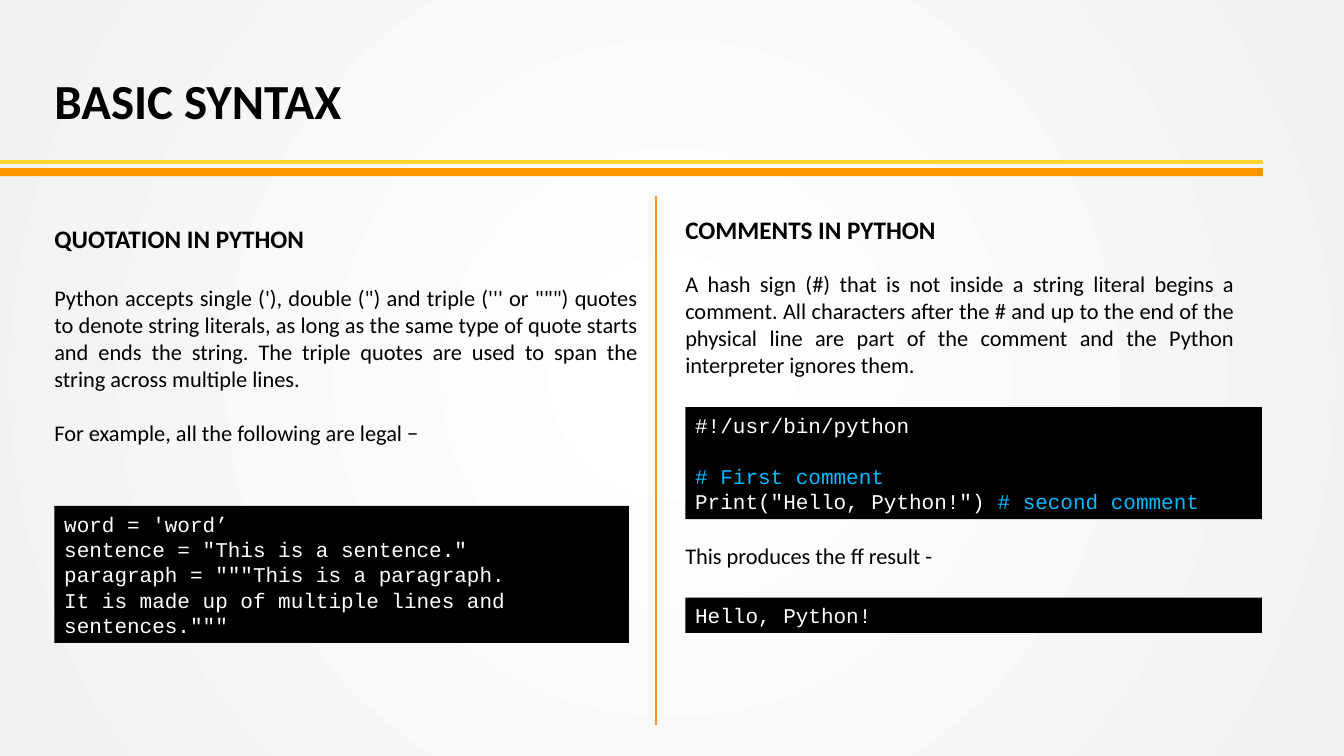
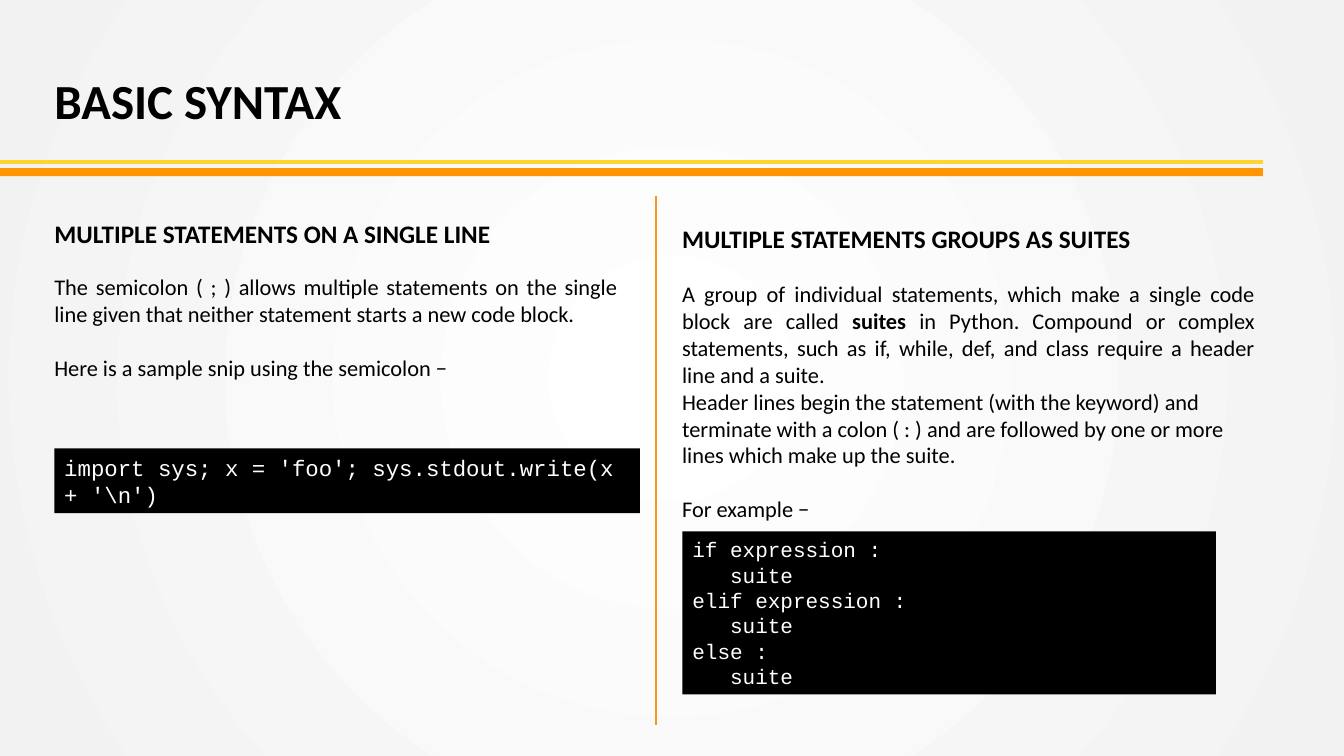
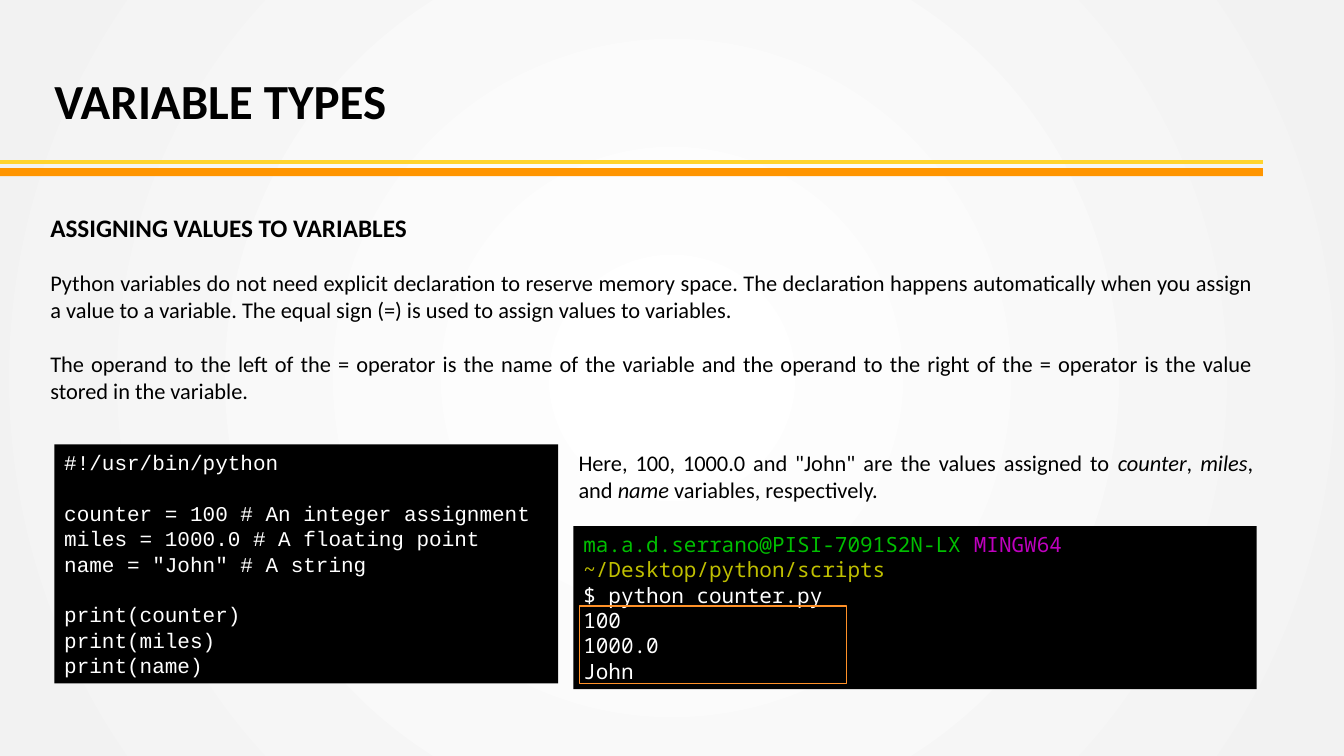
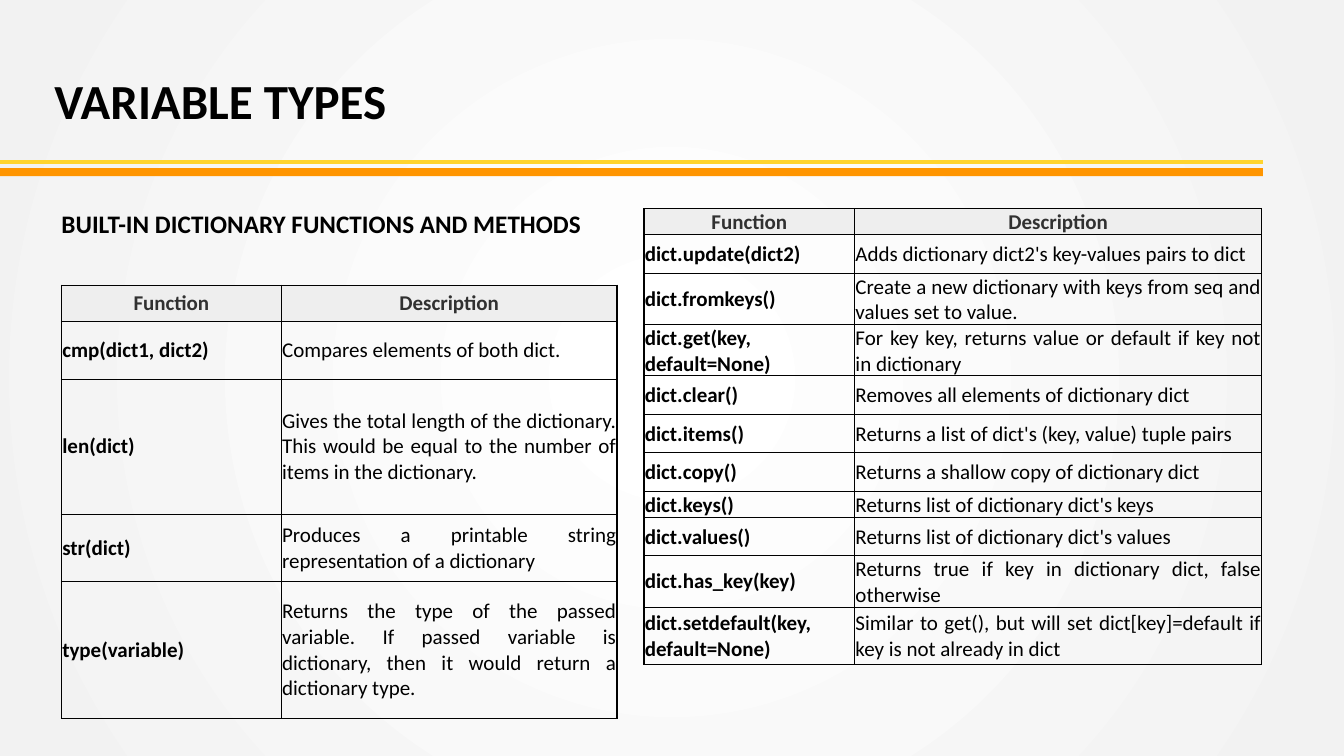
"""Build four slides on Python syntax and variable types."""
from dataclasses import dataclass

from lxml.etree import SubElement
from pptx import Presentation
from pptx.dml.color import RGBColor
from pptx.enum.shapes import MSO_CONNECTOR, MSO_SHAPE
from pptx.enum.text import MSO_ANCHOR, PP_ALIGN
from pptx.oxml import parse_xml
from pptx.oxml.ns import nsdecls, qn
from pptx.util import Cm, Pt

BLACK, WHITE, GREY, HEADER_TEXT = "000000", "FFFFFF", "EEEEEE", "313131"
YELLOW, ORANGE, RULE = "FFD42E", "FF9500", "FF9128"
BLUE, GREEN, PURPLE, OLIVE = "00BAFF", "00BF00", "BF00BF", "BFBF00"
BODY, CODE, CONSOLE = "Calibri", "Courier New", "Noto Sans Mono"
LEFT, CENTER, JUSTIFY = PP_ALIGN.LEFT, PP_ALIGN.CENTER, PP_ALIGN.JUSTIFY
LINE_HEIGHT = 1.21
BAND_END = 31.83
PADDED = (0.25, 0.13, 0.25, 0.13)
FLUSH = (0, 0, 0, 0.13)


@dataclass
class Para:
    """Text of one paragraph; gap is the size of the empty line above it."""
    runs: list
    size: float = 16
    gap: float = 0
    align: PP_ALIGN = LEFT
    bold: bool = False


def heading(words):
    """Return a bold section heading."""
    return Para([words], size=18, bold=True)


def code(*lines, size=15):
    """Return code paragraphs, turning each empty line into a gap."""
    paras, gap = [], 0
    for line in lines:
        if line:
            paras.append(Para([line] if isinstance(line, str) else line, size, gap))
        gap = 0 if line else size
    return paras


SLIDES = [
    {"title": "BASIC SYNTAX", "divider": True, "parts": [
        ("text", (1.37, 5.64, 14.71, 7.09), FLUSH, [
            heading("QUOTATION IN PYTHON"),
            Para(["Python accepts single ('), double (\") and triple (''' or \"\"\") quotes to "
                  "denote string literals, as long as the same type of quote starts and ends the "
                  "string. The triple quotes are used to span the string across multiple lines."],
                 gap=18, align=JUSTIFY),
            Para(["For example, all the following are legal −"], gap=16)]),
        ("code", (1.37, 12.75, 14.48, 3.45), CODE, code(
            "word = 'word’",
            'sentence = "This is a sentence."',
            'paragraph = """This is a paragraph.',
            'It is made up of multiple lines and sentences."""')),
        ("text", (17.27, 5.41, 13.84, 4.27), FLUSH, [
            heading("COMMENTS IN PYTHON"),
            Para(["A hash sign (#) that is not inside a string literal begins a comment. All "
                  "characters after the # and up to the end of the physical line are part of the "
                  "comment and the Python interpreter ignores them."],
                 gap=15, align=JUSTIFY)]),
        ("code", (17.27, 10.26, 14.53, 2.82), CODE, code(
            "#!/usr/bin/python",
            "",
            [("# First comment", BLUE)],
            ['Print("Hello, Python!") ', ("# second comment", BLUE)])),
        ("text", (17.27, 13.67, 11.84, 0.81), FLUSH, [Para(["This produces the ff result -"])]),
        ("code", (17.27, 15.06, 14.53, 0.89), CODE, code("Hello, Python!")),
    ]},
    {"title": "BASIC SYNTAX", "divider": True, "parts": [
        ("text", (1.37, 5.49, 14.2, 4.95), FLUSH, [
            heading("MULTIPLE STATEMENTS ON A SINGLE LINE"),
            Para(["The semicolon ( ; ) allows multiple statements on the single line given that "
                  "neither statement starts a new code block."], gap=15, align=JUSTIFY),
            Para(["Here is a sample snip using the semicolon −"], gap=16, align=JUSTIFY)]),
        ("code", (1.37, 11.3, 14.76, 1.63), CODE, code(
            "import sys; x = 'foo'; sys.stdout.write(x + '\\n')", size=16)),
        ("text", (16.94, 5.49, 14.94, 8.56), PADDED, [
            heading("MULTIPLE STATEMENTS GROUPS AS SUITES"),
            Para(["A group of individual statements, which make a single code block are called ",
                  ("suites", "bold"),
                  " in Python. Compound or complex statements, such as if, while, def, and class "
                  "require a header line and a suite."], gap=16, align=JUSTIFY),
            Para(["Header lines begin the statement (with the keyword) and terminate with a colon "
                  "( : ) and are followed by one or more lines which make up the suite."]),
            Para(["For example −"], gap=16)]),
        ("code", (17.2, 13.39, 13.44, 4.11), CODE, code(
            "if expression :",
            "   suite",
            "elif expression :",
            "   suite",
            "else :",
            "   suite")),
    ]},
    {"title": "VARIABLE TYPES", "divider": False, "parts": [
        ("text", (1.02, 5.21, 30.81, 5.13), PADDED, [
            heading("ASSIGNING VALUES TO VARIABLES"),
            Para(["Python variables do not need explicit declaration to reserve memory space. The "
                  "declaration happens automatically when you assign a value to a variable. The "
                  "equal sign (=) is used to assign values to variables."],
                 gap=16, align=JUSTIFY),
            Para(["The operand to the left of the = operator is the name of the variable and the "
                  "operand to the right of the = operator is the value stored in the variable."],
                 gap=16, align=JUSTIFY)]),
        ("code", (1.37, 11.2, 12.7, 6.02), CODE, code(
            "#!/usr/bin/python",
            "",
            "counter = 100 # An integer assignment",
            "miles = 1000.0 # A floating point",
            'name = "John" # A string',
            "",
            "print(counter)",
            "print(miles)",
            "print(name)")),
        ("text", (14.33, 11.2, 17.5, 2.31), PADDED, [
            Para(['Here, 100, 1000.0 and "John" are the values assigned to ',
                  ("counter", "italic"), ", ", ("miles", "italic"), ", and ",
                  ("name", "italic"), " variables, respectively."], align=JUSTIFY)]),
        ("code", (14.45, 13.26, 17.22, 4.11), CONSOLE, code(
            [("ma.a.d.serrano@PISI-7091S2N-LX ", GREEN), ("MINGW64 ", PURPLE),
             ("~/Desktop/python/scripts", OLIVE)],
            "$ python counter.py",
            "100",
            "1000.0",
            "John")),
        ("frame", (14.61, 15.27, 6.73, 1.96)),
    ]},
    {"title": "VARIABLE TYPES", "divider": False, "parts": [
        ("text", (1.55, 5.26, 14, 1.68), FLUSH,
         [heading("BUILT-IN DICTIONARY FUNCTIONS AND METHODS")]),
        ("table", (1.55, 7.19), (5.54, 8.46), (0.91, 1.45, 3.4, 1.7, 3.45), [
            ("Function", "Description"),
            ("cmp(dict1, dict2)", "Compares elements of both dict."),
            ("len(dict)", "Gives the total length of the dictionary. This would be equal to the "
                          "number of items in the dictionary."),
            ("str(dict)", "Produces a printable string representation of a dictionary"),
            ("type(variable)", "Returns the type of the passed variable. If passed variable is "
                               "dictionary, then it would return a dictionary type.")]),
        ("table", (16.23, 5.26), (5.31, 10.26),
         (0.51, *[0.97] * 6, 0.51, 0.97, 0.97, 1.45), [
            ("Function", "Description"),
            ("dict.update(dict2)", "Adds dictionary dict2's key-values pairs to dict"),
            ("dict.fromkeys()",
             "Create a new dictionary with keys from seq and values set to value."),
            ("dict.get(key, default=None)",
             "For key key, returns value or default if key not in dictionary"),
            ("dict.clear()", "Removes all elements of dictionary dict"),
            ("dict.items()", "Returns a list of dict's (key, value) tuple pairs"),
            ("dict.copy()", "Returns a shallow copy of dictionary dict"),
            ("dict.keys()", "Returns list of dictionary dict's keys"),
            ("dict.values()", "Returns list of dictionary dict's values"),
            ("dict.has_key(key)", "Returns true if key in dictionary dict, false otherwise"),
            ("dict.setdefault(key, default=None)",
             "Similar to get(), but will set dict[key]=default if key is not already in dict")]),
    ]},
]


def color(value):
    """Return the colour of a hex string."""
    return RGBColor.from_string(value)


def set_margins(target, insets):
    """Set left, top, right and bottom margins in centimetres."""
    for side, inset in zip(("left", "top", "right", "bottom"), insets):
        setattr(target, f"margin_{side}", Cm(inset))


def write(frame, paras, font, tint, exact=False):
    """Fill a text frame with formatted paragraphs."""
    for index, item in enumerate(paras):
        para = frame.add_paragraph() if index else frame.paragraphs[0]
        para.alignment = item.align
        para.space_before = Pt(round(item.gap * LINE_HEIGHT, 1))
        if exact:
            para.line_spacing = Pt(round(item.size * LINE_HEIGHT, 1))
        for run in item.runs:
            words, style = (run, None) if isinstance(run, str) else run
            span = para.add_run()
            span.text = words
            span.font.name = font
            span.font.size = Pt(item.size)
            span.font.bold = item.bold or style == "bold"
            span.font.italic = style == "italic"
            span.font.color.rgb = color(tint if style in (None, "bold", "italic") else style)


def add_text(slide, at, insets, paras):
    """Add a wrapped text box."""
    frame = slide.shapes.add_textbox(*map(Cm, at)).text_frame
    frame.word_wrap = True
    set_margins(frame, insets)
    write(frame, paras, BODY, BLACK)


def add_box(slide, at, fill=None):
    """Add a plain rectangle without shadow or outline."""
    box = slide.shapes.add_shape(MSO_SHAPE.RECTANGLE, *map(Cm, at))
    box.shadow.inherit = False
    box.line.fill.background()
    if fill:
        box.fill.solid()
        box.fill.fore_color.rgb = color(fill)
    else:
        box.fill.background()
    return box


def add_code(slide, at, font, paras):
    """Add a black box of code."""
    frame = add_box(slide, at, BLACK).text_frame
    frame.word_wrap = True
    frame.vertical_anchor = MSO_ANCHOR.TOP
    set_margins(frame, PADDED)
    write(frame, paras, font, WHITE, exact=True)


def add_frame(slide, at):
    """Add an outlined rectangle."""
    box = add_box(slide, at)
    box.line.color.rgb = color(RULE)
    box.line.width = Pt(1)


def add_line(slide, ends, tint, width):
    """Add a straight line."""
    line = slide.shapes.add_connector(MSO_CONNECTOR.STRAIGHT, *map(Cm, ends))
    line.line.color.rgb = color(tint)
    line.line.width = Pt(width)
    SubElement(line._element.spPr, qn("a:effectLst"))


def set_borders(cell, outer):
    """Draw cell borders, thicker on the sides that are outer."""
    for side in "LRTB":
        width = Pt(1 if side in outer else 0.5)
        cell._tc.get_or_add_tcPr().append(parse_xml(
            f'<a:ln{side} {nsdecls("a")} w="{width}"><a:solidFill>'
            f'<a:srgbClr val="{BLACK}"/></a:solidFill></a:ln{side}>'))


def add_table(slide, corner, widths, heights, rows):
    """Add a table of functions and descriptions."""
    size = sum(widths), sum(heights)
    table = slide.shapes.add_table(len(rows), len(widths), *map(Cm, corner + size)).table
    table.first_row = table.horz_banding = False
    for column, width in zip(table.columns, widths):
        column.width = Cm(width)
    for r, (row, height) in enumerate(zip(rows, heights)):
        table.rows[r].height = Cm(height)
        for c, words in enumerate(row):
            cell = table.cell(r, c)
            header = r == 0
            outer = "LR"[c] + ("T" if header else "B" if r == len(rows) - 1 else "")
            set_borders(cell, outer)
            if header:
                cell.fill.solid()
                cell.fill.fore_color.rgb = color(GREY)
            else:
                cell.fill.background()
            cell.vertical_anchor = MSO_ANCHOR.MIDDLE
            set_margins(cell, (0.02, 0.02, 0.02, 0))
            align = CENTER if header else (LEFT, JUSTIFY)[c]
            para = Para([words], size=15, align=align, bold=header or c == 0)
            write(cell.text_frame, [para], BODY, HEADER_TEXT if header else BLACK)


def set_background(master):
    """Give all slides a soft round gradient."""
    master.background.fill.solid()
    properties = master._element.cSld.bg.bgPr
    properties.replace(properties[0], parse_xml(
        f'<a:gradFill {nsdecls("a")} rotWithShape="1"><a:gsLst>'
        '<a:gs pos="2000"><a:srgbClr val="FFFFFF"/></a:gs>'
        '<a:gs pos="100000"><a:srgbClr val="F2F2F2"/></a:gs></a:gsLst>'
        '<a:path path="circle"><a:fillToRect l="50000" t="50000" r="50000" b="50000"/></a:path>'
        '</a:gradFill>'))


def add_header(slide, title, divider):
    """Add the title, the two bands and the column divider."""
    add_line(slide, (0, 4.09, BAND_END, 4.09), YELLOW, 3)
    add_text(slide, (1.37, 1.78, 20, 1.63), FLUSH, [Para([title], size=35, bold=True)])
    add_box(slide, (0, 4.24, BAND_END, 0.2), ORANGE)
    if divider:
        add_line(slide, (16.54, 4.93, 16.54, 18.26), RULE, 1.5)


ADDERS = {"text": add_text, "code": add_code, "frame": add_frame, "table": add_table}


def main():
    """Build and save the deck."""
    deck = Presentation()
    deck.slide_width, deck.slide_height = Cm(33.87), Cm(19.05)
    set_background(deck.slide_master)
    for page in SLIDES:
        slide = deck.slides.add_slide(deck.slide_layouts[6])
        add_header(slide, page["title"], page["divider"])
        for kind, *details in page["parts"]:
            ADDERS[kind](slide, *details)
    deck.save("out.pptx")


if __name__ == "__main__":
    main()
